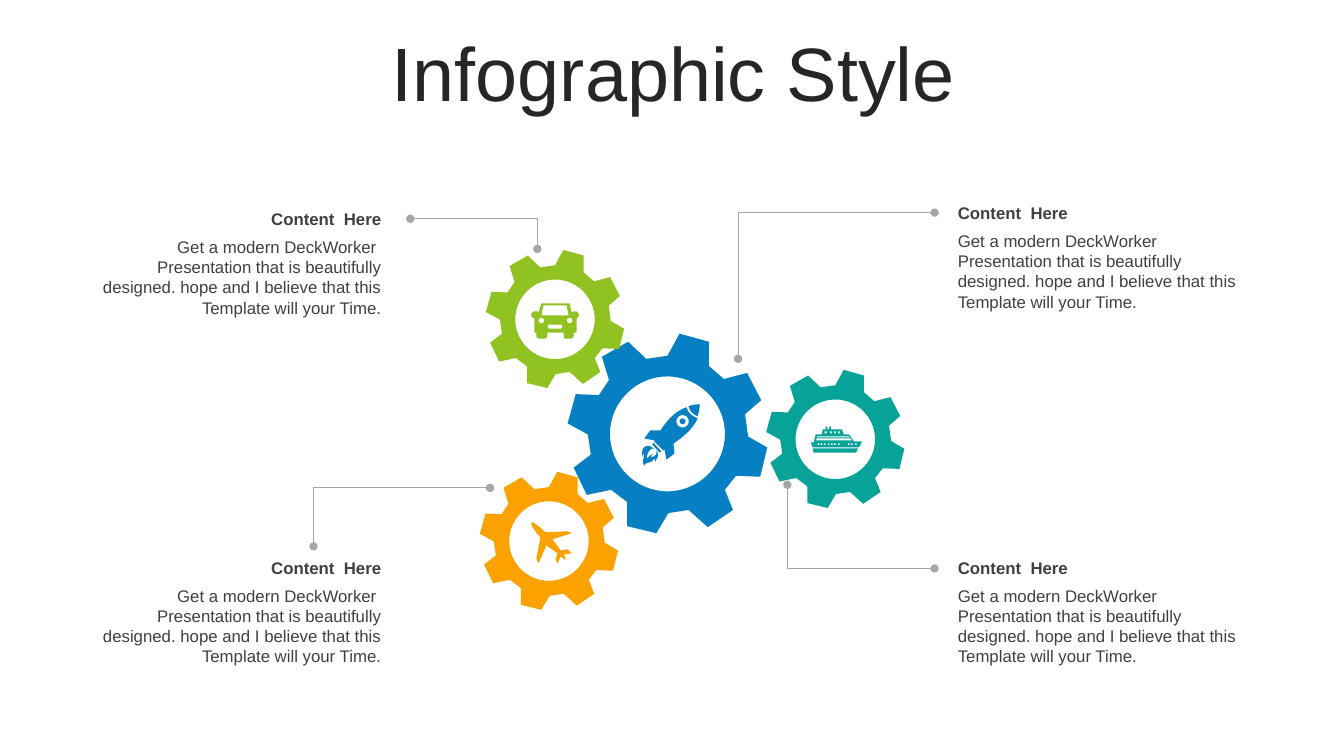
from pptx import Presentation
from pptx.dml.color import RGBColor
from pptx.enum.shapes import MSO_CONNECTOR
from pptx.enum.text import MSO_ANCHOR, PP_ALIGN
from pptx.oxml.ns import qn
from pptx.util import Inches, Pt
from lxml import etree

ELBOW = MSO_CONNECTOR.ELBOW
LEFT, CENTER, RIGHT = PP_ALIGN.LEFT, PP_ALIGN.CENTER, PP_ALIGN.RIGHT
TOP, MIDDLE = MSO_ANCHOR.TOP, MSO_ANCHOR.MIDDLE
BLUE, TEAL, GREEN, ORANGE = "0680C3", "07A398", "90C221", "FBA200"
DARK, INK, GRAY = "262626", "404040", "A6A6A6"
HEAD = "Content  Here"
BODY = ("Get a modern DeckWorker  Presentation that is beautifully designed. "
        "hope and I believe that this Template will your Time.")

# Outlines in hundredths of an inch: M move, L lines, C curve,
# O circle (centre, radius), R square (corner, side)
GEAR = """M 111 0 L 140 8 140 32 155 45 178 39 192 66 176 80 179 102 198 113
191 142 167 141 156 155 164 175 139 192 120 175 100 178 88 198 59 191 59 167
43 155 19 160 6 133 23 120 20 100 0 89 8 60 31 61 41 46 34 23 60 8 78 25 99 22
O 99 99.5 57"""
CAR = """M 10 0 L 38 0 40 9 42 8 45 8 47 10 47 13 45 15 45 29 42 29 42 33 40 35
33 35 32 33 32 29 16 29 16 33 14 35 7 35 5 33 5 29 3 29 3 15 0 13 0 10 2 8
6 8 7 9 M 12 2 L 10 12 37 12 35 2 O 10 17 2.9 O 38 17 2.9
M 17 21 L 16 23 17 25 30 25 31 23 30 21"""
SHIP = """M 2 22 L 47 22 45 26 3 26
M 19 0 L 20 0 20 3 31 3 33 8 38 8 43 15 51 15 48 21 2 21 0 16 3 16 5 8 11 8
12 3 15 3 15 0 16 0 17 3 18 3 M 6 12 L 5 14 41 14 40 12
M 6 10 L 6 11 39 11 38 10 """
SHIP += " ".join(f"R {x} 17 1.7" for x in (7, 10, 13, 17, 20, 23, 27, 37, 40, 44))
SHIP += "".join(f" R {x} 5 2" for x in (14, 19, 23, 27))
PLANE = """M 41 31 L 33 32 C 34 33 36 36 35 37 C 34 38 32 35 30 34
L 27 41 25 37 27 31 16 23 8 41 6 36 10 15 C 6 11 -1 2 1 0
C 2 -1 11 6 15 10 L 37 9 41 11 22 17 30 28 37 27"""
ROCKET = """M 14 44 C 11 43 6 47 7 54 C 9 51 11 50 13 49 C 12 50 10 51 11 53
C 13 50 17 53 16 46 C 20 52 16 53 15 57 C 14 56 15 53 14 54 C 11 60 6 56 4 61
C 0 56 5 53 4 50 C 4 49 2 49 2 53 C 0 39 9 40 14 44
M 13 38 L 21 47 19 48 12 40 O 42 17 3 O 42 17 6.2
M 46 3 C 47 8 51 12 57 14 C 52 25 42 33 33 39 L 34 49 26 55 24 45 23 46 14 37
14 36 4 34 10 26 20 26 C 26 17 34 7 46 3
M 59 0 C 59 4 58 8 57 12 C 52 10 49 7 48 2 C 51 1 55 0 59 0"""


def rgb(color):
    return RGBColor.from_string(color)


def circle(x, y, r):
    """Four curves around a centre."""
    k = 0.55 * r
    text = f"M {x + r} {y}"
    for a, b in ((1, 0), (0, 1), (-1, 0), (0, -1)):
        text += (f" C {x + a * r - b * k} {y + b * r + a * k}"
                 f" {x + a * k - b * r} {y + b * k + a * r} {x - b * r} {y + a * r}")
    return text


def square(x, y, s):
    return f"M {x} {y} L {x + s} {y} {x + s} {y + s} {x} {y + s}"


def trace(text):
    """Turn an outline into rings of (x, y, starts a curve)."""
    rings, mode, nums = [], "", []
    for word in text.split():
        if word.isalpha():
            mode, nums = word, []
            continue
        nums.append(float(word))
        if mode in "OR" and len(nums) == 3:
            rings += trace((circle if mode == "O" else square)(*nums))
        elif mode in "ML" and len(nums) == 2:
            if mode == "M":
                rings.append([])
            rings[-1].append((*nums, False))
            nums = []
        elif mode == "C" and len(nums) == 6:
            rings[-1] += [(*nums[:2], True), (*nums[2:4], False), (*nums[4:], False)]
    return rings


def bend(shape, marks):
    """Join each marked point and the two after it into one curve."""
    lines = list(shape._element.iter(qn("a:lnTo")))
    for i, mark in enumerate(marks):
        if mark:
            lines[i].tag = qn("a:cubicBezTo")
            for line in lines[i + 1:i + 3]:
                lines[i].append(line[0])
                line.getparent().remove(line)


def draw(slide, outline, left, top, color, zoom=1.0):
    rings = trace(outline)
    spots = [[(Inches(left + x * zoom / 100), Inches(top + y * zoom / 100))
              for x, y, _ in ring] for ring in rings]
    pen = slide.shapes.build_freeform(*spots[0][0])
    for i, ring in enumerate(spots):
        if i:
            pen.move_to(*ring[0])
        pen.add_line_segments(ring[1:], close=True)
    shape = pen.convert_to_shape()
    bend(shape, [mark for ring in rings for _, _, mark in ring[1:]])
    shape.shadow.inherit = False
    shape.fill.solid()
    shape.fill.fore_color.rgb = rgb(color)
    shape.line.fill.background()


def write(par, text, size, color, bold=False):
    run = par.add_run()
    run.text = text
    font = run.font
    font.name, font.size, font.bold = "Arial", Pt(size), bold
    font.color.rgb = rgb(color)


def title(slide, left, top, width, height):
    box = slide.shapes.title
    box.left, box.top, box.width, box.height = map(Inches, (left, top, width, height))
    box.text_frame.vertical_anchor = MIDDLE
    par = box.text_frame.paragraphs[0]
    par.alignment, par.line_spacing = CENTER, 0.9
    write(par, "Infographic Style", 54, DARK)


def note(slide, left, top, align):
    """Heading with its text below."""
    rows = ((HEAD, 0, 0.3, MIDDLE, True), (BODY, 0.28, 0.91, TOP, False))
    for text, drop, height, anchor, bold in rows:
        box = slide.shapes.add_textbox(Inches(left), Inches(top + drop),
                                       Inches(2.99), Inches(height))
        frame = box.text_frame
        frame.word_wrap, frame.vertical_anchor = True, anchor
        frame.margin_left = 0
        par = frame.paragraphs[0]
        par.alignment = align
        write(par, text, 12, INK, bold)


def leader(slide, start, end, share):
    """Elbow line with a dot at both ends, turning at a share of its width."""
    line = slide.shapes.add_connector(ELBOW, *map(Inches, start + end))
    line.line.color.rgb = rgb(GRAY)
    line.line.width = Pt(0.5)
    pr = line._element.spPr
    guides = pr.find(qn("a:prstGeom")).get_or_add_avLst()
    etree.SubElement(guides, qn("a:gd"), name="adj1", fmla=f"val {share * 100000}")
    for tag in ("a:headEnd", "a:tailEnd"):
        etree.SubElement(pr.find(qn("a:ln")), qn(tag), type="oval")
    etree.SubElement(pr, qn("a:effectLst"))


def main():
    deck = Presentation()
    deck.slide_width, deck.slide_height = Inches(13.33), Inches(7.5)
    slide = deck.slides.add_slide(deck.slide_layouts[5])
    title(slide, 0.35, 0.37, 12.66, 0.79)

    # Notes
    for left, top, align in ((9.5, 1.96, LEFT), (0.89, 5.48, RIGHT),
                             (0.89, 2.02, RIGHT), (9.5, 5.48, LEFT)):
        note(slide, left, top, align)

    # Leaders
    for start, end, share in (((7.32, 3.56), (9.27, 2.11), 0),
                              ((9.27, 5.64), (7.81, 4.81), 1),
                              ((3.11, 5.42), (4.86, 4.84), 0),
                              ((4.07, 2.17), (5.33, 2.47), 1)):
        leader(slide, start, end, share)

    # Gears, each with the icon in its hole
    for left, top, size, color, icon, dx, dy in (
            (5.63, 3.31, 1.98, BLUE, ROCKET, 0.72, 0.7),
            (7.6, 3.67, 1.37, TEAL, SHIP, 0.44, 0.56),
            (4.82, 2.48, 1.37, GREEN, CAR, 0.45, 0.53),
            (4.76, 4.68, 1.37, ORANGE, PLANE, 0.5, 0.5)):
        draw(slide, GEAR, left, top, color, size / 1.98)
        draw(slide, icon, left + dx, top + dy, color)
    deck.save("out.pptx")


if __name__ == "__main__":
    main()
